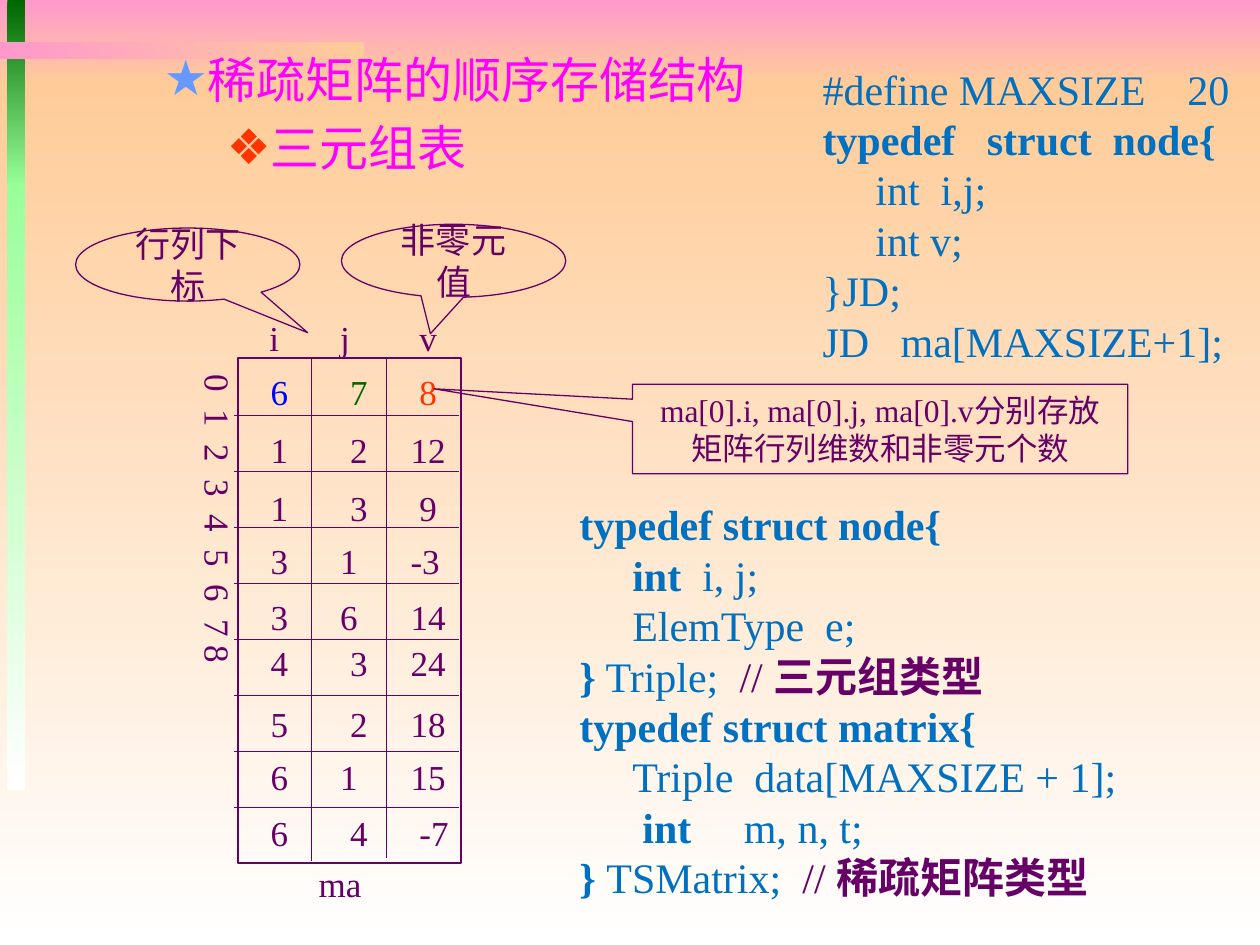
from lxml import etree
from pptx import Presentation
from pptx.dml.color import RGBColor
from pptx.enum.shapes import MSO_CONNECTOR, MSO_SHAPE
from pptx.enum.text import MSO_ANCHOR, PP_ALIGN
from pptx.oxml.ns import qn
from pptx.util import Inches, Pt

RECTANGLE = MSO_SHAPE.RECTANGLE
BOX_CALLOUT = MSO_SHAPE.RECTANGULAR_CALLOUT
OVAL_CALLOUT = MSO_SHAPE.OVAL_CALLOUT
STRAIGHT = MSO_CONNECTOR.STRAIGHT
MIDDLE, CENTER = MSO_ANCHOR.MIDDLE, PP_ALIGN.CENTER

COLORS = {
    "pink": "FF99CC", "peach": "FFCC99", "white": "FFFFFF",
    "dark green": "006600", "light green": "99FF99", "magenta": "FF00FF",
    "star": "6699FF", "red": "FF3300", "blue": "0000FF",
    "code": "0070C0", "purple": "660066",
}
FONT = "Times New Roman"

# Gradient bands: box, first colour, last colour, angle
BANDS = [
    ((0, 0, 10, 0.67), "pink", "peach", 270),
    ((0, 0.67, 10, 6.83), "peach", "white", 270),
    ((0.06, 0, 0.14, 1.48), "dark green", "light green", 270),
    ((0.06, 1.46, 0.14, 4.81), "light green", "white", 270),
    ((0, 0.33, 2.89, 0.14), "pink", "peach", 0),
]
# Headings: text, level, left margin, first-line indent, bullet, bullet colour
HEADINGS = [
    ("稀疏矩阵的顺序存储结构", 0, 0.81, -0.31, "★", "star"),
    ("三元组表", 1, 1.25, -0.25, "❖", "red"),
]
# Triples: top, values, offsets of j and v
TRIPLES = [
    (2.89, "6 7 8", (0.63, 1.18)),
    (3.35, "1 2 12", (0.63, 1.11)),
    (3.81, "1 3 9", (0.63, 1.18)),
    (4.23, "3 1 -3", (0.55, 1.11)),
    (4.68, "3 6 14", (0.55, 1.11)),
    (5.04, "4 3 24", (0.63, 1.11)),
    (5.53, "5 2 18", (0.63, 1.11)),
    (5.95, "6 1 15", (0.55, 1.11)),
    (6.39, "6 4 -7", (0.63, 1.18)),
]
SIZE_COLORS = ["blue", "dark green", "red"]
# Code: indent, then runs of (text, bold, colour)
NODE_CODE = [
    (0, [("#define MAXSIZE    20", False, "code")]),
    (0, [("typedef   struct  node{", True, "code")]),
    (0.42, [("int  i,j;", False, "code")]),
    (0.42, [("int v;", False, "code")]),
    (0, [("}JD;", False, "code")]),
    (0, [("JD   ma[MAXSIZE+1];", False, "code")]),
]
MATRIX_CODE = [
    (0, [("typedef struct node{", True, "code")]),
    (0.42, [("int  ", True, "code"), ("i, j;", False, "code")]),
    (0.42, [("ElemType  e;", False, "code")]),
    (0, [("}", True, "code"), (" Triple;  ", False, "code"),
         ("// ", False, "purple"), ("三元组类型", True, "purple")]),
    (0, [("typedef struct matrix{", True, "code")]),
    (0.42, [("Triple  data[MAXSIZE + 1];", False, "code")]),
    (0.5, [("int", True, "code"), ("     m, n, t;", False, "code")]),
    (0, [("} ", True, "code"), ("TSMatrix;  ", False, "code"),
         ("// ", False, "purple"), ("稀疏矩阵类型", True, "purple")]),
]
# Callouts: shape, box, pointer, size, lines
CALLOUTS = [
    (BOX_CALLOUT, (5.02, 3.05, 3.93, 0.71), (-0.901, -0.449), 18,
     ["ma[0].i, ma[0].j, ma[0].v分别存放", "矩阵行列维数和非零元个数"]),
    (OVAL_CALLOUT, (0.6, 1.81, 1.78, 0.58), (0.535, 0.932), 20, ["行列下标"]),
    (OVAL_CALLOUT, (2.71, 1.78, 1.78, 0.58), (-0.103, 0.997), 20, ["非零元值"]),
]


def color(name):
    return RGBColor.from_string(COLORS[name])


def inches(values):
    return [Inches(value) for value in values]


def style(font, size, name="purple", face=FONT):
    font.size, font.name = Pt(size), face
    font.color.rgb = color(name)


def add_shape(kind, box):
    shape = slide.shapes.add_shape(kind, *inches(box))
    shape.shadow.inherit = False
    return shape


def add_outline(kind, box):
    shape = add_shape(kind, box)
    shape.fill.background()
    shape.line.color.rgb = color("purple")
    shape.line.width = Pt(0.75)
    return shape


def add_line(x1, y1, x2, y2):
    line = slide.shapes.add_connector(STRAIGHT, *inches((x1, y1, x2, y2)))
    line.line.color.rgb = color("purple")
    line.line.width = Pt(0.75)
    etree.SubElement(line._element.spPr, qn("a:effectLst"))


def add_text(box, wrap=False, anchor=MIDDLE):
    frame = slide.shapes.add_textbox(*inches(box)).text_frame
    frame.word_wrap, frame.vertical_anchor = wrap, anchor
    return frame


def next_paragraph(frame, index):
    return frame.add_paragraph() if index else frame.paragraphs[0]


def add_label(box, text):
    frame = add_text(box)
    paragraph = frame.paragraphs[0]
    paragraph.text = text
    style(paragraph.font, 20)
    return frame


def add_columns(box, values, stops, names):
    paragraph = add_text(box, wrap=True).paragraphs[0]
    for index, (value, name) in enumerate(zip(values, names)):
        run = paragraph.add_run()
        run.text = "\t" + value if index else value
        style(run.font, 20, name)
    tabs = etree.SubElement(paragraph._p.get_or_add_pPr(), qn("a:tabLst"))
    for stop in stops:
        etree.SubElement(tabs, qn("a:tab"), pos=str(Inches(stop)), algn="l")


def add_code(frame, lines):
    for index, (indent, runs) in enumerate(lines):
        paragraph = next_paragraph(frame, index)
        paragraph.line_spacing = Pt(28.8)
        paragraph._p.get_or_add_pPr().set("marL", str(Inches(indent)))
        for text, bold, name in runs:
            run = paragraph.add_run()
            run.text = text
            style(run.font, 24, name)
            run.font.bold = bold


presentation = Presentation()
presentation.slide_width, presentation.slide_height = inches((10, 7.5))
slide = presentation.slides.add_slide(presentation.slide_layouts[1])
title, body = slide.placeholders
title._element.getparent().remove(title._element)

# Background bands
for box, first, last, angle in BANDS:
    band = add_shape(RECTANGLE, box)
    band.line.fill.background()
    band.fill.gradient()
    band.fill.gradient_angle = angle
    for stop, name, position in zip(band.fill.gradient_stops, (first, last), (0, 1)):
        stop.color.rgb = color(name)
        stop.position = position

# Headings, brought in front of the bands
slide.shapes._spTree.append(body._element)
body.left, body.top, body.width, body.height = inches((0.7, 0.34, 9.3, 1.27))
for index, (text, level, margin, indent, bullet, name) in enumerate(HEADINGS):
    paragraph = next_paragraph(body.text_frame, index)
    paragraph.text, paragraph.level = text, level
    paragraph.space_before = Pt(5.6)
    style(paragraph.font, 28, "magenta", "Arial")
    properties = paragraph._p.get_or_add_pPr()
    properties.set("marL", str(Inches(margin)))
    properties.set("indent", str(Inches(indent)))
    bullet_color = etree.Element(qn("a:buClr"))
    etree.SubElement(bullet_color, qn("a:srgbClr"), val=COLORS[name])
    bullet_char = etree.Element(qn("a:buChar"), char=bullet)
    spacing = properties.find(qn("a:spcBef"))
    spacing.addnext(bullet_color)
    bullet_color.addnext(bullet_char)

# Code blocks
add_code(add_text((6.43, 0.44, 3.46, 2.52)), NODE_CODE)
add_code(add_text((4.5, 3.91, 4.71, 3.33), True, MSO_ANCHOR.TOP), MATRIX_CODE)

# Triple table: values, grid and labels
for index, (top, values, stops) in enumerate(TRIPLES):
    names = ["purple"] * 3 if index else SIZE_COLORS
    add_columns((2.05, top, 1.75, 0.43), values.split(), stops, names)
add_outline(RECTANGLE, (1.89, 2.84, 1.77, 4.01))
add_line(2.47, 2.84, 2.47, 6.83)
add_line(3.07, 2.85, 3.07, 6.81)
for row in range(len(TRIPLES) - 1):
    y = 3.3 + row * 3.11 / 7
    add_line(1.86, y, 3.64, y)
add_columns((2.04, 2.46, 1.75, 0.43), "ijv", (0.56, 1.19), ["purple"] * 3)
add_label((2.43, 6.8, 0.54, 0.43), "ma").paragraphs[0].alignment = CENTER
row_numbers = add_label((1.47, 2.87, 0.53, 3.92), "0  1  2  3  4  5  6  7 8")
row_numbers._txBody.bodyPr.set("vert", "eaVert")

# Callouts
for kind, box, pointer, size, lines in CALLOUTS:
    callout = add_outline(kind, box)
    callout.adjustments[0], callout.adjustments[1] = pointer
    frame = callout.text_frame
    frame.word_wrap, frame.vertical_anchor = True, MIDDLE
    for index, text in enumerate(lines):
        paragraph = next_paragraph(frame, index)
        paragraph.text, paragraph.alignment = text, CENTER
        style(paragraph.font, size)

presentation.save("out.pptx")
